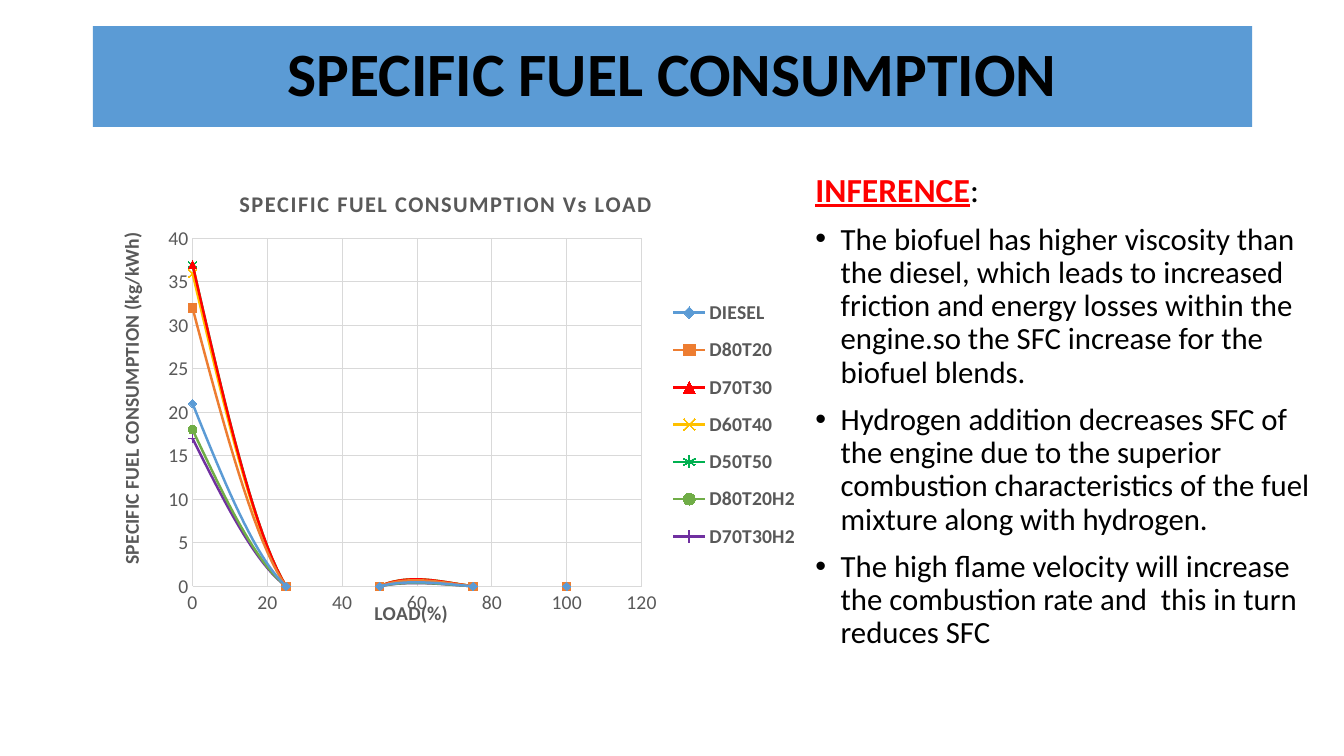
"""Build the slide comparing specific fuel consumption of fuel blends against load."""
import pptx
import pptx.chart.data
import pptx.dml.color
import pptx.enum.chart
import pptx.enum.text
import pptx.oxml
import pptx.oxml.ns
import pptx.util

Inches, Pt, qn = pptx.util.Inches, pptx.util.Pt, pptx.oxml.ns.qn
Marker = pptx.enum.chart.XL_MARKER_STYLE
COLOURS = {
    "black": "000000", "grey": "595959", "grid": "D9D9D9", "blue": "5B9BD5",
    "orange": "ED7D31", "red": "FF0000", "yellow": "FFC000", "emerald": "00B050",
    "green": "70AD47", "purple": "7030A0",
}
WIDTH, HEIGHT = 13.33, 7.5
LEFT, SPLIT = 0.92, 7.99
LOADS = (0, 25, 50, 75, 100)
BLENDS = [
    ("DIESEL", "blue", Marker.DIAMOND, (21, 0, 0, 0, 0)),
    ("D80T20", "orange", Marker.SQUARE, (32, 0, 0, 0, 0)),
    ("D70T30", "red", Marker.TRIANGLE, (37, 0, 0, 0, 0)),
    ("D60T40", "yellow", Marker.X, (36, 0, 0, 0, 0)),
    ("D50T50", "emerald", Marker.STAR, (37, 0, 0, 0, 0)),
    ("D80T20H2", "green", Marker.CIRCLE, (18, 0, 0, 0, 0)),
    ("D70T30H2", "purple", Marker.PLUS, (17, 0, 0, 0, 0)),
]
INFERENCES = [
    "The biofuel has higher viscosity than the diesel, which leads to increased friction "
    "and energy losses within the engine.so the SFC increase for the biofuel blends.",
    "Hydrogen addition decreases SFC of the engine due to the superior combustion "
    "characteristics of the fuel mixture along with hydrogen.",
    "The high flame velocity will increase the combustion rate and  this in turn reduces SFC",
]


def style(font, size, colour, bold=False):
    """Set the face, size, colour and weight of a font."""
    font.name, font.size, font.bold = "Calibri", Pt(size), bold
    font.color.rgb = pptx.dml.color.RGBColor.from_string(COLOURS[colour])


def place(element, index, **shares):
    """Give a chart part a manual layout in shares of the chart's size."""
    for old in element.findall(qn("c:layout")):
        element.remove(old)
    target = '<c:layoutTarget val="inner"/>' if element.tag == qn("c:plotArea") else ""
    modes = "".join(f'<c:{key}Mode val="edge"/>' for key in "xy")
    values = "".join(f'<c:{key} val="{share}"/>' for key, share in shares.items())
    element.insert(index, pptx.oxml.parse_xml(
        f'<c:layout {pptx.oxml.ns.nsdecls("c")}><c:manualLayout>'
        f"{target}{modes}{values}</c:manualLayout></c:layout>"))


deck = pptx.Presentation()
deck.slide_width, deck.slide_height = Inches(WIDTH), Inches(HEIGHT)
page = deck.slides.add_slide(deck.slide_layouts[5])

heading = page.shapes.title
heading.left, heading.top = Inches(LEFT), Inches(0.26)
heading.width, heading.height = Inches(11.5), Inches(1)
heading.fill.solid()
heading.fill.fore_color.rgb = pptx.dml.color.RGBColor.from_string(COLOURS["blue"])
frame = heading.text_frame
frame.auto_size = pptx.enum.text.MSO_AUTO_SIZE.NONE
frame.vertical_anchor = pptx.enum.text.MSO_ANCHOR.MIDDLE
para = frame.paragraphs[0]
para.alignment = pptx.enum.text.PP_ALIGN.CENTER
para.line_spacing = 0.9
span = para.add_run()
span.text = "SPECIFIC FUEL CONSUMPTION"
style(span.font, 44, "black", True)

box = page.shapes.add_textbox(Inches(SPLIT), Inches(1.67), Inches(5.14), Inches(5.1))
frame = box.text_frame
frame.word_wrap = True
para = frame.paragraphs[0]
para.line_spacing = 0.9
for words, colour, strong in (("INFERENCE", "red", True), (":", "black", False)):
    span = para.add_run()
    span.text = words
    style(span.font, 24, colour, strong)
    span.font.underline = strong
for inference in INFERENCES:
    para = frame.add_paragraph()
    properties = para._p.get_or_add_pPr()
    properties.set("marL", str(Inches(0.25)))
    properties.set("indent", str(-Inches(0.25)))
    for tag in ('buFont {} typeface="Arial"', 'buChar {} char="•"'):
        properties.append(pptx.oxml.parse_xml(f"<a:{tag.format(pptx.oxml.ns.nsdecls('a'))}/>"))
    para.line_spacing, para.space_before = 0.9, Pt(10)
    span = para.add_run()
    span.text = inference
    style(span.font, 22, "black")

data = pptx.chart.data.XyChartData()
for name, colour, marker, consumption in BLENDS:
    series = data.add_series(name)
    for load, value in zip(LOADS, consumption):
        series.add_data_point(load, value)
chart = page.shapes.add_chart(
    pptx.enum.chart.XL_CHART_TYPE.XY_SCATTER_SMOOTH,
    Inches(LEFT), Inches(1.54), Inches(SPLIT - LEFT), Inches(4.86), data).chart
style(chart.font, 10, "black")
chart.plots[0].vary_by_categories = False
for series, (name, colour, marker, consumption) in zip(chart.plots[0].series, BLENDS):
    shade = pptx.dml.color.RGBColor.from_string(COLOURS[colour])
    series.format.line.width = Pt(1.75)
    series.format.line.color.rgb = shade
    series.marker.style, series.marker.size = marker, 6
    series.marker.format.line.color.rgb = shade
    if marker == Marker.X:
        series.marker.format.fill.background()
    else:
        series.marker.format.fill.solid()
        series.marker.format.fill.fore_color.rgb = shade
for smooth in chart.element.iter(qn("c:smooth")):
    smooth.set("val", "1")

load_axis, fuel_axis = chart.category_axis, chart.value_axis
for axis, top, step in ((load_axis, 120, 20), (fuel_axis, 40, 5)):
    axis.minimum_scale, axis.maximum_scale, axis.major_unit = 0, top, step
    axis.major_tick_mark = axis.minor_tick_mark = pptx.enum.chart.XL_TICK_MARK.NONE
    axis.tick_labels.number_format = "General"
    axis.tick_labels.number_format_is_linked = False
    style(axis.tick_labels.font, 14, "grey")
    axis.has_major_gridlines, axis.has_title = True, True
    for line in (axis.format.line, axis.major_gridlines.format.line):
        line.width = Pt(0.75)
        line.color.rgb = pptx.dml.color.RGBColor.from_string(COLOURS["grid"])

chart.has_title = True
for title, words, size, x, y in (
    (chart.chart_title, "SPECIFIC FUEL CONSUMPTION Vs LOAD", 16, 0.2, 0.06),
    (load_axis.axis_title, "LOAD(%)", 14, 0.39, 0.9),
    (fuel_axis.axis_title, "SPECIFIC FUEL CONSUMPTION (kg/kWh)", 14, 0.03, 0.15),
):
    span = title.text_frame.paragraphs[0].add_run()
    span.text = words
    style(span.font, size, "grey", True)
    if size == 16:
        span.font._element.set("spc", "120")
    place(title.element, 1, x=x, y=y)
rotation = fuel_axis.axis_title.element.find(".//" + qn("a:bodyPr"))
rotation.set("rot", "-5400000")
rotation.set("vert", "horz")

chart.has_legend = True
chart.legend.position = pptx.enum.chart.XL_LEGEND_POSITION.RIGHT
chart.legend.include_in_layout = False
style(chart.legend.font, 14, "grey", True)
place(chart.element.find(".//" + qn("c:legend")), 1, x=0.81, y=0.27, w=0.18, h=0.56)
place(chart.element.find(".//" + qn("c:plotArea")), 0, x=0.14, y=0.17, w=0.63, h=0.71)

deck.save("out.pptx")
